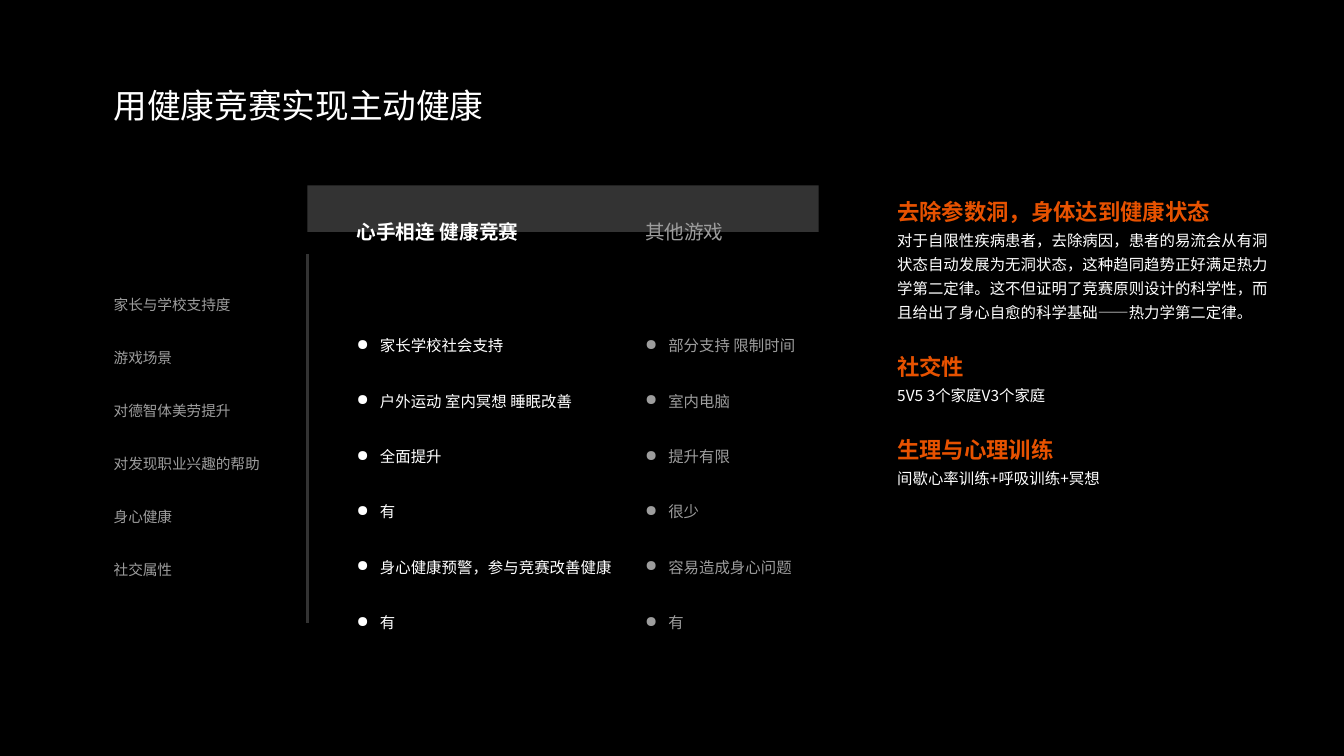
from dataclasses import dataclass

from lxml import etree
from pptx import Presentation
from pptx.dml.color import RGBColor
from pptx.enum.shapes import MSO_CONNECTOR, MSO_SHAPE
from pptx.oxml.ns import qn
from pptx.util import Inches, Pt

RECT = MSO_SHAPE.RECTANGLE
STRAIGHT = MSO_CONNECTOR.STRAIGHT


@dataclass(frozen=True)
class Theme:
    font: str = "Noto Sans CJK SC"
    back: RGBColor = RGBColor(0x00, 0x00, 0x00)
    panel: RGBColor = RGBColor(0x33, 0x33, 0x33)
    white: RGBColor = RGBColor(0xFF, 0xFF, 0xFF)
    gray: RGBColor = RGBColor(0x9D, 0x9D, 0x9D)
    accent: RGBColor = RGBColor(0xE7, 0x52, 0x00)
    title: float = 24
    heading: float = 16
    column: float = 14
    body: float = 11
    label: float = 10.5
    tight: float = 1.3
    loose: float = 3


T = Theme()

LABELS = ["家长与学校支持度", "游戏场景", "对德智体美劳提升", "对发现职业兴趣的帮助",
          "身心健康", "社交属性"]
OURS = ["家长学校社会支持", "户外运动 室内冥想 睡眠改善", "全面提升", "有",
        "身心健康预警，参与竞赛改善健康", "有"]
OTHERS = ["部分支持 限制时间", "室内电脑", "提升有限", "很少", "容易造成身心问题", "有"]
BENEFITS = [
    ("去除参数洞，身体达到健康状态",
     "对于自限性疾病患者，去除病因，患者的易流会从有洞状态自动发展为无洞状态，"
     "这种趋同趋势正好满足热力学第二定律。这不但证明了竞赛原则设计的科学性，"
     "而且给出了身心自愈的科学基础——热力学第二定律。"),
    ("社交性", "5V5 3个家庭V3个家庭"),
    ("生理与心理训练", "间歇心率训练+呼吸训练+冥想"),
]


def line_height(size, spacing):
    """Height of one text line at the given multiple of the normal 1.2 em."""
    return Pt(size * 1.2 * spacing)


def add_text_box(s, x, y, w, h):
    tf = s.shapes.add_textbox(Inches(x), Inches(y), Inches(w), Inches(h)).text_frame
    tf.word_wrap = True
    return tf


def add_paragraph(tf, text, size, color, spacing, bold=False, bullet=False):
    p = tf.paragraphs[0]
    if p.runs:
        p = tf.add_paragraph()
    p.text = text
    p.line_spacing = line_height(size, spacing)
    if bullet:
        pPr = p._p.get_or_add_pPr()
        pPr.set("marL", str(Inches(0.23)))
        pPr.set("indent", str(-Inches(0.23)))
        etree.SubElement(pPr, qn("a:buChar")).set("char", "●")
    font = p.runs[0].font
    font.name, font.size, font.bold = T.font, Pt(size), bold
    font.color.rgb = color
    etree.SubElement(font._element, qn("a:ea")).set("typeface", T.font)
    return p


def add_title(s, x, y, w, h):
    tf = add_text_box(s, x, y, w, h)
    add_paragraph(tf, "用健康竞赛实现主动健康", T.title, T.white, T.tight)


def add_row_labels(s, x, y, w, h):
    tf = add_text_box(s, x, y, w, h)
    for label in LABELS:
        add_paragraph(tf, label, T.label, T.gray, T.loose)


def add_column(s, x, y, w, h, heading, items, color, bold=False):
    tf = add_text_box(s, x, y, w, h)
    p = add_paragraph(tf, heading, T.column, color, T.loose, bold=bold)
    p.space_after = line_height(T.body, T.loose)
    for item in items:
        add_paragraph(tf, item, T.body, color, T.loose, bullet=True)


def add_comparison(s, x, y, w, h):
    """Header band, vertical rule, row labels and the two compared columns."""
    band = s.shapes.add_shape(RECT, Inches(x), Inches(y), Inches(w), Inches(0.46))
    band.shadow.inherit = False
    band.fill.solid()
    band.fill.fore_color.rgb = T.panel
    band.line.fill.background()

    rule = s.shapes.add_connector(STRAIGHT, Inches(x), Inches(y + 0.68),
                                  Inches(x), Inches(y + h))
    rule.line.color.rgb = T.panel
    rule.line.width = Pt(2)
    etree.SubElement(rule._element.spPr, qn("a:effectLst"))

    add_row_labels(s, x - 2.02, y + 0.7, 1.83, 3.25)
    top, height = y - 0.17, h + 0.29
    add_column(s, x + 0.39, top, 3.06, height, "心手相连 健康竞赛", OURS, T.white, bold=True)
    add_column(s, x + 3.25, top, 2.27, height, "其他游戏", OTHERS, T.gray)


def add_benefits(s, x, y, w, h):
    tf = add_text_box(s, x, y, w, h)
    for i, (heading, body) in enumerate(BENEFITS):
        p = add_paragraph(tf, heading, T.heading, T.accent, T.tight, bold=True)
        if i:
            p.space_before = line_height(T.body, T.tight)
        add_paragraph(tf, body, T.body, T.white, T.tight)


def main():
    prs = Presentation()
    prs.slide_width, prs.slide_height = Inches(13.33), Inches(7.5)
    s = prs.slides.add_slide(prs.slide_layouts[6])
    s.background.fill.solid()
    s.background.fill.fore_color.rgb = T.back
    add_title(s, 1.03, 0.67, 5.89, 0.61)
    add_comparison(s, 3.05, 1.84, 5.07, 4.34)
    add_benefits(s, 8.8, 1.84, 4.02, 3.95)
    prs.save("out.pptx")


if __name__ == "__main__":
    main()
